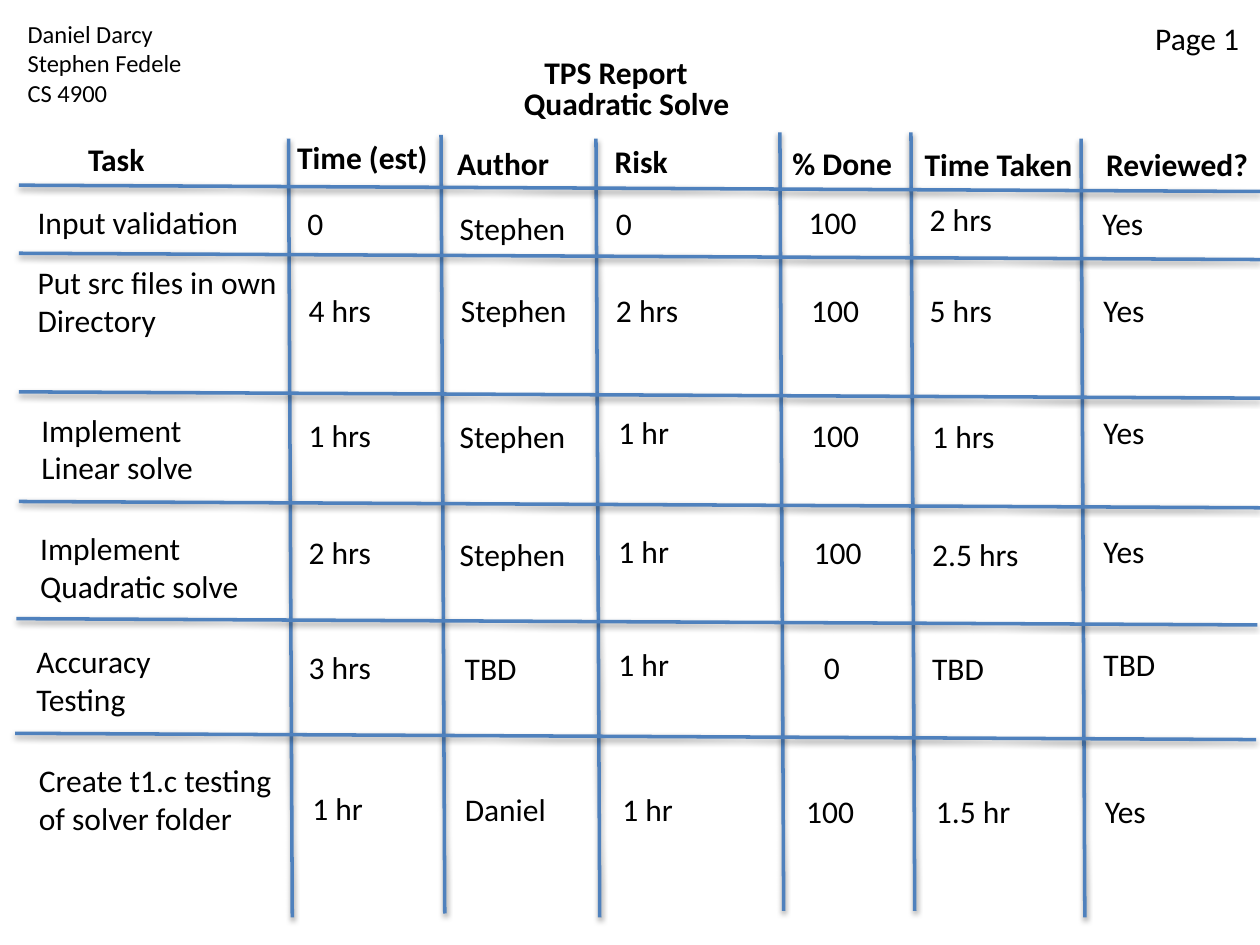
"""Build the TPS report slide with its hand-ruled task grid."""
from lxml.etree import SubElement
from pptx import Presentation
from pptx.dml.color import RGBColor as RGB
from pptx.enum.shapes import MSO_CONNECTOR as Link
from pptx.enum.text import MSO_ANCHOR as Anchor, MSO_AUTO_SIZE as Fit, PP_ALIGN as Align
from pptx.oxml.ns import qn
from pptx.util import Inches, Pt

HUES = {"text": "000000", "rule": "4F81BD", "shade": "000000"}
FONT = "Calibri"

TITLE = ("TPS Report", 4.22, 0.37, 1.37)
TEAM = ["Daniel Darcy", "Stephen Fedele", "CS 4900"]
HEADS = [
    ("Task", 0.6, 1.06), ("Time (est)", 2.26, 1.05), ("Author", 3.53, 1.09),
    ("Risk", 4.78, 1.08), ("% Done", 6.19, 1.09), ("Time Taken", 7.24, 1.1),
    ("Reviewed?", 8.68, 1.1),
]
ROWS = [
    (["Input validation", "0", "Stephen", "0", "100", "2 hrs", "Yes"],
     [0.2, 2.34, 3.55, 4.79, 6.32, 7.28, 8.65],
     [1.56, 1.57, 1.61, 1.57, 1.56, 1.54, 1.57]),
    (["Put src files in own\nDirectory", "4 hrs", "Stephen", "2 hrs", "100", "5 hrs", "Yes"],
     [0.2, 2.35, 3.56, 4.79, 6.34, 7.28, 8.66],
     [2.04] + [2.26] * 6),
    (["Implement\nLinear solve", "1 hrs", "Stephen", "1 hr", "100", "1 hrs", "Yes"],
     [0.23, 2.35, 3.55, 4.81, 6.34, 7.3, 8.66],
     [3.21, 3.25, 3.26, 3.23, 3.25, 3.26, 3.23]),
    (["Implement\nQuadratic solve", "2 hrs", "Stephen", "1 hr", "100", "2.5 hrs", "Yes"],
     [0.22, 2.35, 3.55, 4.81, 6.36, 7.3, 8.66],
     [4.15, 4.18, 4.2, 4.17, 4.18, 4.2, 4.17]),
    (["Accuracy\nTesting", "3 hrs", "TBD", "1 hr", "0", "TBD", "TBD"],
     [0.19, 2.35, 3.59, 4.81, 6.44, 7.3, 8.66],
     [5.05, 5.09, 5.1, 5.07, 5.09, 5.1, 5.07]),
    (["Create t1.c testing\nof solver folder", "1 hr", "Daniel", "1 hr", "100", "1.5 hr", "Yes"],
     [0.21, 2.38, 3.59, 4.84, 6.3, 7.33, 8.67],
     [5.99, 6.21, 6.22, 6.22, 6.24, 6.24, 6.24]),
]
WIDE = {
    "Input validation": 1.81, "Put src files in own\nDirectory": 2.12,
    "Implement\nLinear solve": 1.45, "Implement\nQuadratic solve": 1.82,
    "Accuracy\nTesting": 1.2, "Create t1.c testing\nof solver folder": 2.12,
    "0": 0.35, "100": 0.63, "1 hr": 0.65, "1.5 hr": 0.84, "2.5 hrs": 0.95,
    "Stephen": 1.09, "Daniel": 0.92, "TBD": 0.66, "Yes": 0.6,
}
COLS = [(2.29, 1.1), (3.5, 1.07), (4.73, 1.1), (6.19, 1.05), (7.23, 1.05), (8.58, 1.1)]
BARS = [(0.15, 1.47), (0.15, 2.01), (0.15, 3.11), (0.15, 3.98), (0.13, 4.91), (0.12, 5.82)]


def write(frame, lines, size=18, bold=False):
    frame.word_wrap, frame.auto_size = True, Fit.NONE
    for i, line in enumerate(lines):
        para = frame.paragraphs[0] if i == 0 else frame.add_paragraph()
        para.alignment = Align.LEFT
        run = para.add_run()
        run.text = line
        font = run.font
        font.name, font.size, font.bold = FONT, Pt(size), bold
        font.color.rgb = RGB.from_string(HUES["text"])


def label(slide, lines, left, top, width, tall=0.4, size=18, bold=False):
    box = slide.shapes.add_textbox(*map(Inches, (left, top, width, tall)))
    write(box.text_frame, lines, size, bold)


def rule(slide, left, top, run, drop):
    ends = map(Inches, (left, top, left + run, top + drop))
    line = slide.shapes.add_connector(Link.STRAIGHT, *ends)
    line.line.color.rgb = RGB.from_string(HUES["rule"])
    line.line.width = Pt(2)
    glow = SubElement(line._element.spPr, qn("a:effectLst"))
    cast = SubElement(glow, qn("a:outerShdw"), blurRad="40000", dist="20000",
                      dir="5400000", rotWithShape="0")
    hue = SubElement(cast, qn("a:srgbClr"), val=HUES["shade"])
    SubElement(hue, qn("a:alpha"), val="38000")


def main():
    deck = Presentation()
    deck.slide_width, deck.slide_height = Inches(10), Inches(7.5)
    slide = deck.slides.add_slide(deck.slide_layouts[5])

    name, left, top, width = TITLE
    title = slide.shapes.title
    title.left, title.top = Inches(left), Inches(top)
    title.width, title.height = Inches(width), Inches(0.4)
    title.text_frame.vertical_anchor = Anchor.TOP
    write(title.text_frame, [name], bold=True)

    for left, top in COLS:
        rule(slide, left, top, 0.03, 6.18)
    for left, top in BARS:
        rule(slide, left, top, 9.85, 0.05)

    for text, left, top in HEADS:
        label(slide, [text], left, top, 1.52, bold=True)
    for texts, lefts, tops in ROWS:
        for text, left, top in zip(texts, lefts, tops):
            lines = text.split("\n")
            label(slide, lines, left, top, WIDE.get(text, 0.75), 0.1 + 0.3 * len(lines))

    label(slide, TEAM, 0.12, 0.1, 1.91, 0.8, size=14)
    label(slide, ["Page 1"], 9.07, 0.1, 0.92)
    label(slide, ["Quadratic Solve"], 4.06, 0.62, 1.9, bold=True)
    deck.save("out.pptx")


if __name__ == "__main__":
    main()
